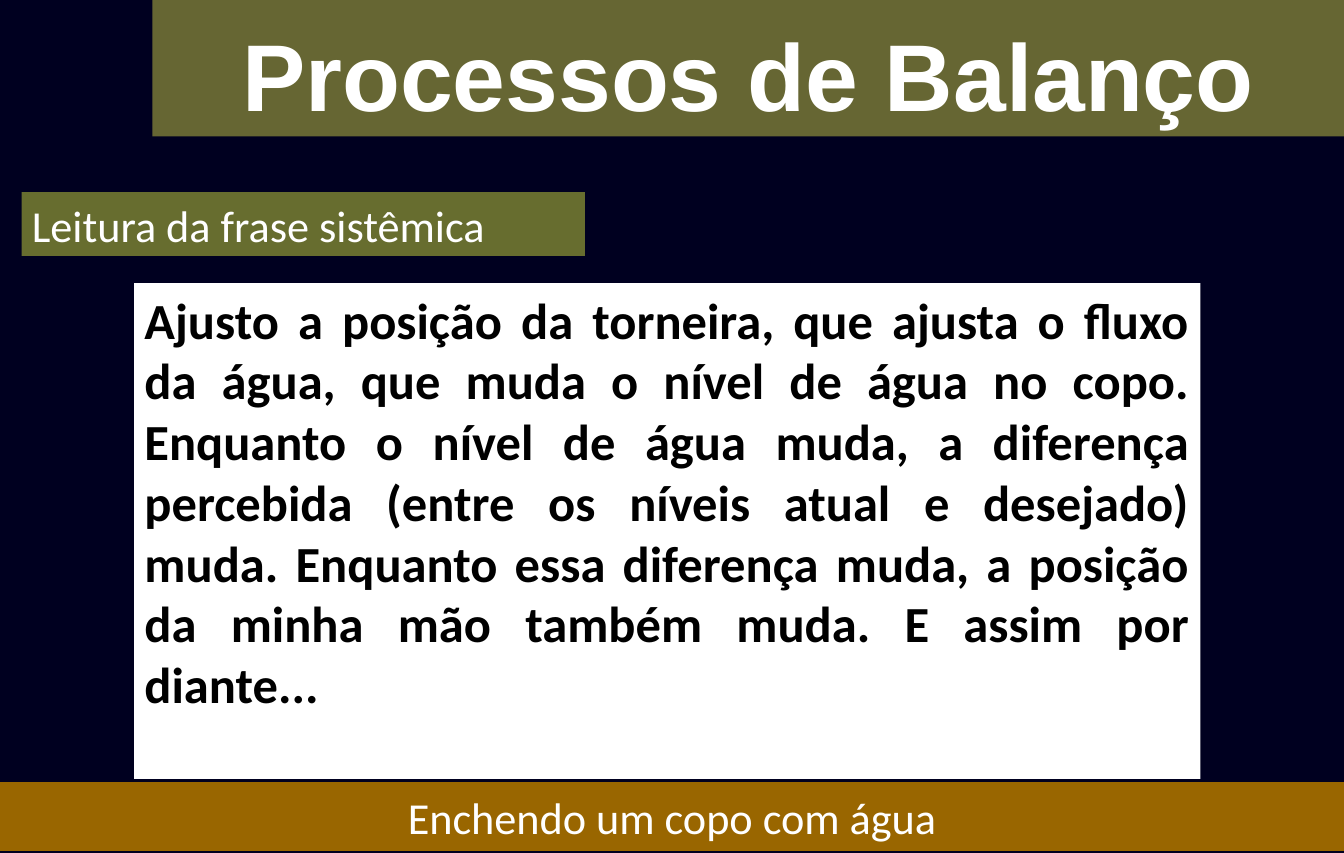
from pptx import Presentation
from pptx.dml.color import RGBColor
from pptx.enum.text import MSO_ANCHOR, MSO_AUTO_SIZE, PP_ALIGN
from pptx.util import Inches, Pt

TOP = MSO_ANCHOR.TOP
FIXED = MSO_AUTO_SIZE.NONE
LEFT, CENTER, JUSTIFY = PP_ALIGN.LEFT, PP_ALIGN.CENTER, PP_ALIGN.JUSTIFY

NAVY = RGBColor(0x00, 0x00, 0x20)
OLIVE = RGBColor(0x66, 0x66, 0x33)
MOSS = RGBColor(0x67, 0x6D, 0x2F)
AMBER = RGBColor(0x99, 0x66, 0x00)
WHITE = RGBColor(0xFF, 0xFF, 0xFF)
BLACK = RGBColor(0x00, 0x00, 0x00)

WIDTH, HEIGHT = 30 / 2.54, 7.5


def write(shape, text, font="Calibri", size=28, color=WHITE, bold=False,
          align=LEFT, lines=1.0):
    """Put one formatted paragraph in a shape."""
    frame = shape.text_frame
    frame.text = text
    frame.word_wrap = True
    frame.auto_size = FIXED
    frame.vertical_anchor = TOP
    frame.margin_left = frame.margin_right = Inches(0.09)
    frame.margin_top = frame.margin_bottom = Inches(0.05)
    para = frame.paragraphs[0]
    para.alignment = align
    para.line_spacing = lines
    para.font.name = font
    para.font.size = Pt(size)
    para.font.bold = bold
    para.font.color.rgb = color


class Page:
    """Hold the slide and its common style."""

    def __init__(self, deck, back):
        """Add a titled slide with a plain background."""
        self.slide = deck.slides.add_slide(deck.slide_layouts[5])
        fill = self.slide.background.fill
        fill.solid()
        fill.fore_color.rgb = back

    def paint(self, shape, fill):
        """Fill a shape with one colour."""
        shape.fill.solid()
        shape.fill.fore_color.rgb = fill

    def title(self, text, left, top, width, height, fill, **style):
        """Place and format the title."""
        shape = self.slide.shapes.title
        shape.left, shape.top = Inches(left), Inches(top)
        shape.width, shape.height = Inches(width), Inches(height)
        self.paint(shape, fill)
        write(shape, text, **style)

    def panel(self, text, left, top, width, height, fill, edge=None, **style):
        """Add a filled text box, with an edge if its width is given."""
        shape = self.slide.shapes.add_textbox(
            Inches(left), Inches(top), Inches(width), Inches(height))
        self.paint(shape, fill)
        if edge:
            shape.line.color.rgb = fill
            shape.line.width = Pt(edge)
        write(shape, text, **style)


def main():
    """Build and save the slide."""
    deck = Presentation()
    deck.slide_width, deck.slide_height = Inches(WIDTH), Inches(HEIGHT)
    page = Page(deck, NAVY)
    page.title("Processos de Balanço", 1.34, 0, WIDTH - 1.34, 1.2, OLIVE,
               font="Arial", size=60, bold=True, align=CENTER, lines=1.1)
    page.panel("Enchendo um copo com água", 0, 6.9, WIDTH, 0.56, AMBER,
               edge=3, align=CENTER)
    page.panel("Leitura da frase sistêmica", 0.19, 1.69, 4.95, 0.56, MOSS)
    page.panel(
        "Ajusto a posição da torneira, que ajusta o fluxo da água, que muda "
        "o nível de água no copo. Enquanto o nível de água muda, a diferença "
        "percebida (entre os níveis atual e desejado) muda. Enquanto essa "
        "diferença muda, a posição da minha mão também muda. E assim por "
        "diante...",
        1.18, 2.49, 9.37, 4.36, WHITE,
        size=32, color=BLACK, bold=True, align=JUSTIFY)
    deck.save("out.pptx")


if __name__ == "__main__":
    main()
